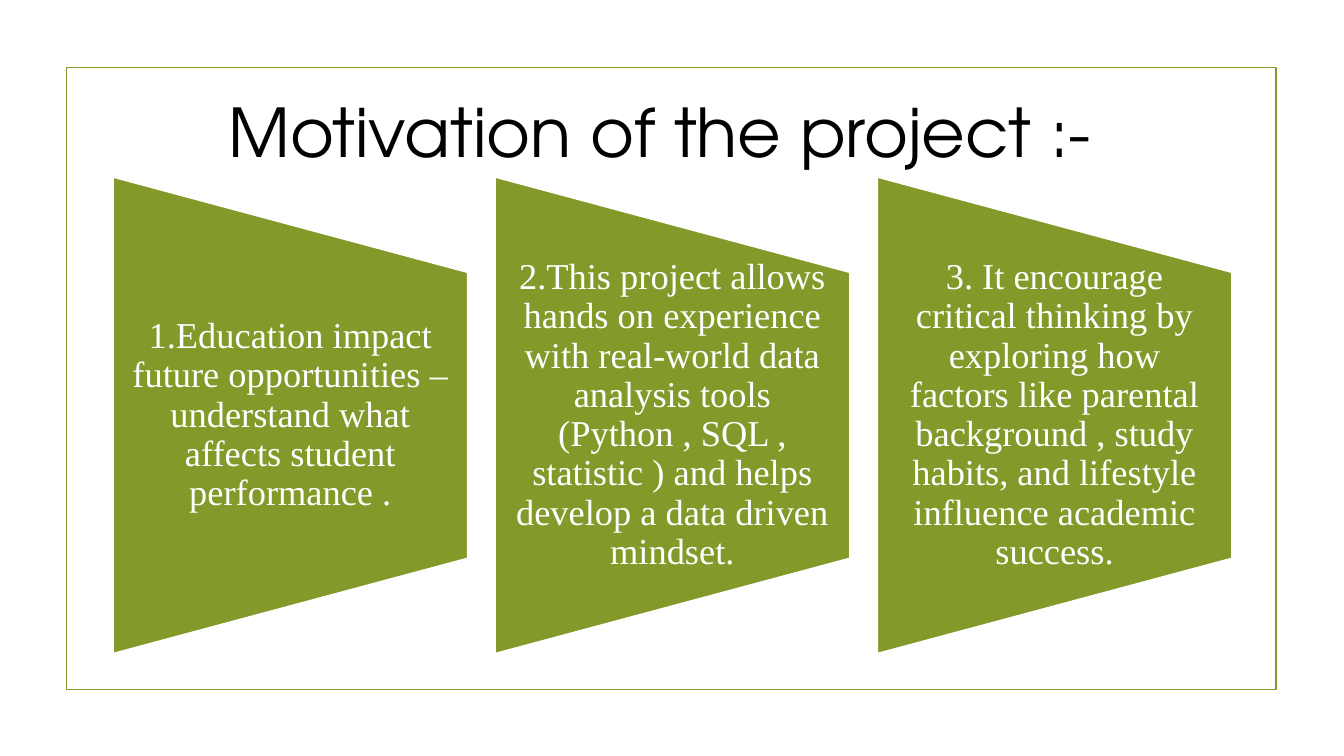
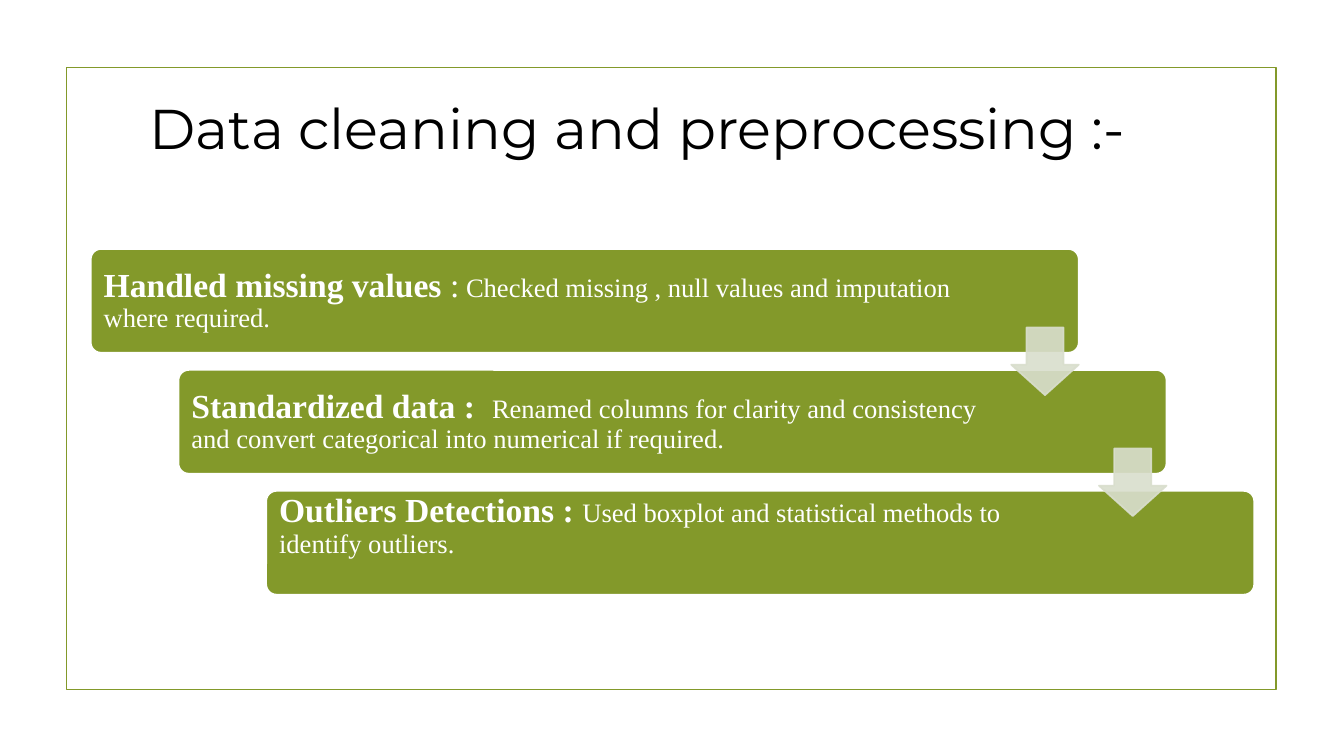
from lxml import etree
from pptx import Presentation
from pptx.dml.color import RGBColor
from pptx.enum import shapes, text
from pptx.oxml import ns
from pptx.util import Inches, Pt

GREEN = RGBColor(0x83, 0x99, 0x2A)
PALE = RGBColor(0xD9, 0xDE, 0xCD)
WHITE = RGBColor(0xFF, 0xFF, 0xFF)
BLACK = RGBColor(0, 0, 0)
SERIF = "Times New Roman"
KIND = shapes.MSO_SHAPE
ALIGN = text.PP_ALIGN
ANCHOR = text.MSO_ANCHOR


def assign(obj, vals):
    for key, val in vals.items():
        setattr(obj, key, val)


def fade(item, rate):
    """Set the opacity of a shape's fill and line, in percent."""
    for clr in item._element.spPr.iter(ns.qn("a:srgbClr")):
        etree.SubElement(clr, ns.qn("a:alpha"), val=str(rate * 1000))


class Deck:
    """Holds the shared style and the current slide."""

    def __init__(self):
        self.prs = Presentation()
        assign(self.prs, {"slide_width": Inches(13.33), "slide_height": Inches(7.5)})
        self.base = self.prs.slide_layouts[5]
        self.page = None

    def slide(self, words, box, size, font, align):
        first = self.page is None
        self.page = self.prs.slides.add_slide(self.base)
        if first:
            self.frame()
        title = self.page.shapes.title
        left, top, width, height = map(Inches, box)
        assign(title, {"left": left, "top": top, "width": width, "height": height})
        self.label(title, [(words, size, False)], font, BLACK, align, ANCHOR.TOP,
                   (0.1, 0.05, 0.1, 0.05), 1)

    def frame(self):
        """Draw the border once, on the layout that every slide uses."""
        rect = self.shape(KIND.RECTANGLE, (0.66, 0.67, 12, 6.17), None, GREEN)
        rect._element.nvSpPr.cNvPr.id = 20
        self.base.shapes._spTree.insert(2, rect._element)

    def shape(self, kind, box, fill=GREEN, line=WHITE, adj=(), turn=0):
        item = self.page.shapes.add_shape(kind, *map(Inches, box))
        item.shadow.inherit = False
        item.rotation = turn
        if fill is None:
            item.fill.background()
        else:
            item.fill.solid()
            item.fill.fore_color.rgb = fill
        item.line.color.rgb = line
        item.line.width = Pt(1.25)
        for i, val in enumerate(adj):
            item.adjustments[i] = val
        return item

    def label(self, item, runs, font=SERIF, color=WHITE, align=ALIGN.LEFT,
              anchor=ANCHOR.MIDDLE, pad=(0.1, 0.1, 0.1, 0.1), space=0.9):
        """Fill a shape with runs of (words, size, bold)."""
        body = item.text_frame
        sides = ("margin_left", "margin_top", "margin_right", "margin_bottom")
        assign(body, dict(zip(sides, map(Inches, pad))))
        assign(body, {"word_wrap": True, "auto_size": text.MSO_AUTO_SIZE.NONE,
                      "vertical_anchor": anchor})
        para = body.paragraphs[0]
        assign(para, {"alignment": align, "line_spacing": space})
        for words, size, bold in runs:
            run = para.add_run()
            run.text = words
            assign(run.font, {"name": font, "size": Pt(size), "bold": bold})
            run.font.color.rgb = color

    def panel(self, left, words):
        """Draw a tapered panel, turned on its side, with upright text."""
        wide, tall, mid = 3.52, 4.73, 4.12
        self.shape(KIND.FLOWCHART_MANUAL_OPERATION,
                   (left + (wide - tall) / 2, mid - wide / 2, tall, wide), turn=270)
        box = self.page.shapes.add_textbox(
            *map(Inches, (left, mid - 1.42, wide, 2.84)))
        self.label(box, [(words, 26, False)], align=ALIGN.CENTER,
                   pad=(0.18, 0, 0.18, 0))

    def step(self, left, top, runs, right, anchor):
        bar = self.shape(KIND.ROUNDED_RECTANGLE, (left, top, 9.8, 1.03), adj=(0.1,))
        head = 0 if anchor == ANCHOR.TOP else 0.1
        self.label(bar, runs, anchor=anchor, pad=(0.1, head, right, 0.1))

    def arrow(self, left, top):
        item = self.shape(KIND.DOWN_ARROW, (left, top, 0.67, 0.67), PALE, PALE,
                          (0.55, 0.45))
        fade(item, 90)


PANELS = (
    "1.Education impact future opportunities –understand what affects student "
    "performance .",
    "2.This project allows hands on experience with real-world data analysis tools "
    "(Python , SQL , statistic ) and helps develop a data driven mindset.",
    "3. It encourage critical thinking by exploring how factors like parental "
    "background , study habits, and lifestyle influence academic success.",
)
STEPS = (
    ([("Handled missing values ", 24, True), (":", 24, False),
      (" Checked missing , null values and imputation where required.", 19, False)],
     1.15, ANCHOR.MIDDLE),
    ([("Standardized data :  ", 24, True),
      ("Renamed columns for clarity and consistency and convert categorical into "
       "numerical if required.", 19, False)], 1.64, ANCHOR.MIDDLE),
    ([("Outliers Detections : ", 24, True),
      ("Used boxplot and statistical methods to identify outliers.", 19, False)],
     1.64, ANCHOR.TOP),
)


def main():
    deck = Deck()
    deck.slide("Motivation of the project :-", (0.57, 0.85, 11.95, 0.91), 48,
               "TeX Gyre Adventor", ALIGN.CENTER)
    for i, words in enumerate(PANELS):
        deck.panel(1.12 + 3.79 * i, words)

    deck.slide("Data cleaning and preprocessing :-", (1.38, 0.88, 10.85, 0.77), 40,
               "Montserrat", ALIGN.LEFT)
    across, down = 0.87, 1.2
    for i, (runs, right, anchor) in enumerate(STEPS):
        deck.step(0.9 + across * i, 2.47 + down * i, runs, right, anchor)
    for i in range(len(STEPS) - 1):
        deck.arrow(10.03 + across * i, 3.25 + down * i)
    deck.prs.save("out.pptx")


if __name__ == "__main__":
    main()
